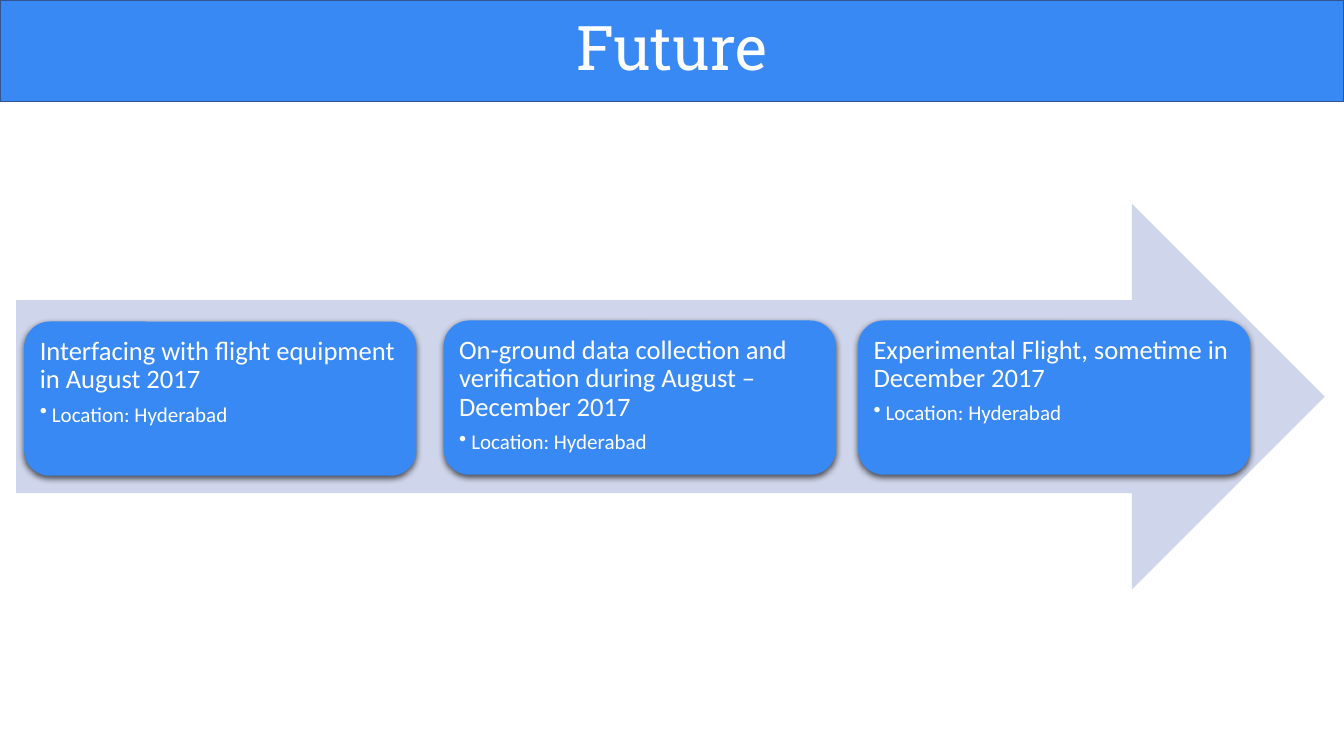
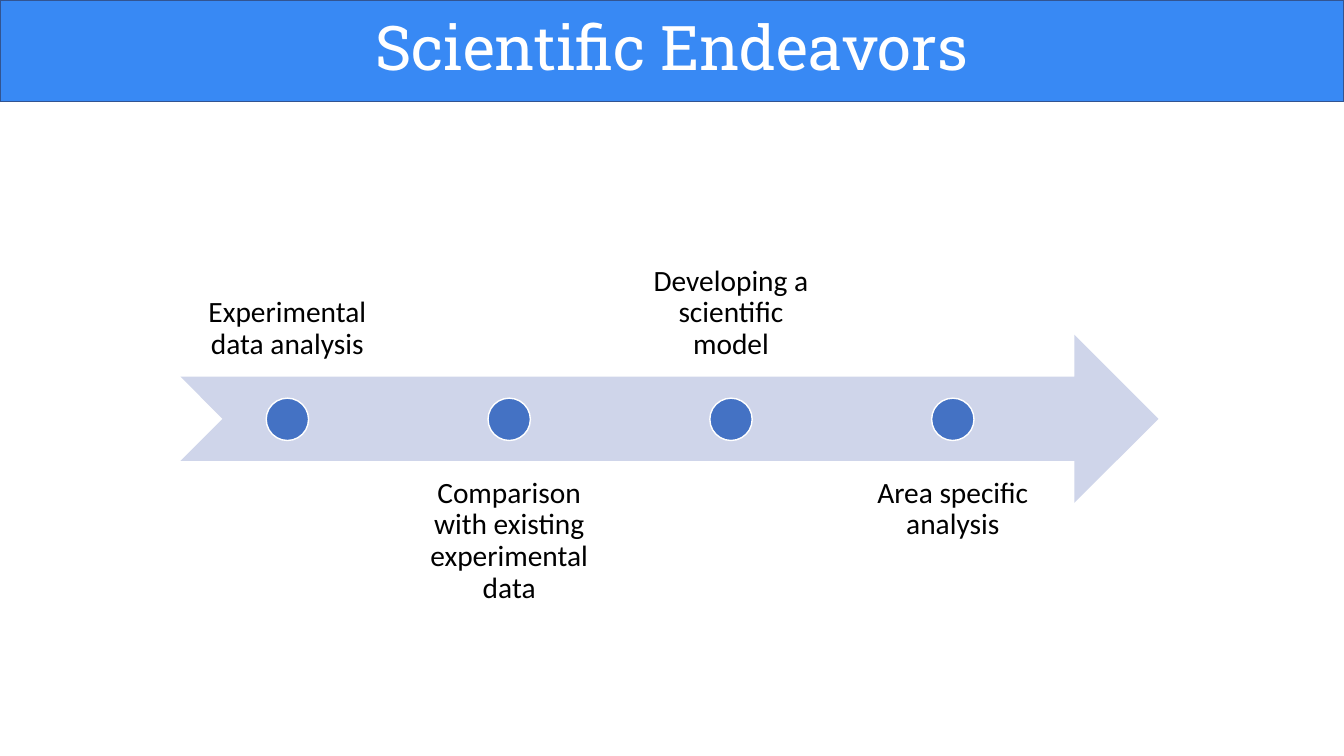
"""Build the Future and Scientific Endeavors slides."""
from lxml import etree
from pptx import Presentation
from pptx import util as u
from pptx.dml.color import RGBColor
from pptx.enum import shapes, text
from pptx.oxml import ns

COLOURS = {
    "band": "3889F4",
    "band_edge": "325491",
    "arrow": "CFD5EA",
    "dot": "4472C4",
    "light": "FFFFFF",
    "dark": "000000",
}
PRESET = shapes.MSO_SHAPE
TOP, MIDDLE, BOTTOM = text.MSO_ANCHOR.TOP, text.MSO_ANCHOR.MIDDLE, text.MSO_ANCHOR.BOTTOM
LEFT, CENTRE = text.PP_ALIGN.LEFT, text.PP_ALIGN.CENTER
WIDTH, HEIGHT = 13.33, 7.5

STAGES = [
    (0.24, 3.19, "Interfacing with flight equipment in August 2017"),
    (4.4, 3.18, "On-ground data collection and verification during August – December 2017"),
    (8.51, 3.18, "Experimental Flight, sometime in December 2017"),
]
LOCATION = "Location: Hyderabad"
ENDEAVORS = [
    "Experimental data analysis",
    "Comparison with existing experimental data",
    "Developing a scientific model",
    "Area specific analysis",
]


def colour(name):
    """Return the named palette colour."""
    return RGBColor.from_string(COLOURS[name])


def apply(target, formats):
    """Set each attribute of the target from a dict of format values."""
    for attribute, value in formats.items():
        setattr(target, attribute, value)


def place(shape, left, top, width, height):
    """Move and size a shape, in inches."""
    sides = {"left": left, "top": top, "width": width, "height": height}
    apply(shape, {side: u.Inches(length) for side, length in sides.items()})


def format_frame(frame, anchor, inset):
    """Set the wrapping, anchor and equal margins of a text frame."""
    margins = {f"margin_{side}": u.Inches(inset) for side in ("left", "top", "right", "bottom")}
    apply(frame, {"word_wrap": True, "auto_size": text.MSO_AUTO_SIZE.NONE,
                  "vertical_anchor": anchor, **margins})


def write(paragraph, words, size, ink, align=LEFT, face="Calibri"):
    """Write one formatted run in a paragraph."""
    apply(paragraph, {"alignment": align, "line_spacing": 0.9})
    run = paragraph.add_run()
    run.text = words
    apply(run.font, {"name": face, "size": u.Pt(size), "bold": False})
    run.font.color.rgb = colour(ink)


def add_bullet(paragraph):
    """Give a paragraph a bullet with a hanging indent."""
    indent = u.Inches(0.12)
    properties = paragraph._p.get_or_add_pPr()
    properties.set("marL", str(indent))
    properties.set("indent", str(-indent))
    etree.SubElement(properties, ns.qn("a:buChar")).set("char", "•")


def add_preset(slide, preset, box, fill, edge=None):
    """Add a flat preset shape with an optional outline."""
    shape = slide.shapes.add_shape(preset, *map(u.Inches, box))
    shape.shadow.inherit = False
    shape.fill.solid()
    shape.fill.fore_color.rgb = colour(fill)
    if edge:
        shape.line.color.rgb = colour(edge)
        shape.line.width = u.Pt(1)
    else:
        shape.line.fill.background()
    return shape


def add_soft_shadow(shape):
    """Add a blurred shadow just below a shape."""
    effects = shape.element.spPr.find(ns.qn("a:effectLst"))
    shadow = etree.SubElement(effects, ns.qn("a:outerShdw"))
    values = {"blurRad": u.Pt(4.5), "dist": u.Pt(1.5), "dir": 90 * 60000, "rotWithShape": 0}
    for name, value in values.items():
        shadow.set(name, str(value))
    tone = etree.SubElement(shadow, ns.qn("a:srgbClr"))
    tone.set("val", COLOURS["dark"])
    etree.SubElement(tone, ns.qn("a:alpha")).set("val", "63000")


def add_titled_slide(deck, heading):
    """Add a slide with its heading on the top band."""
    slide = deck.slides.add_slide(deck.slide_layouts[5])
    title = slide.shapes.title
    band = add_preset(slide, PRESET.RECTANGLE, (0, 0, WIDTH, 1.01), "band", "band_edge")
    title.element.addprevious(band.element)
    place(title, 0, -0.22, WIDTH, 1.45)
    format_frame(title.text_frame, MIDDLE, 0.05)
    write(title.text_frame.paragraphs[0], heading, 44, "light", CENTRE, "Roboto Slab")
    return slide


def add_stage(slide, left, top, activity):
    """Add a rounded card with an activity and its location."""
    card = add_preset(slide, PRESET.ROUNDED_RECTANGLE, (left, top, 3.89, 1.53), "band")
    add_soft_shadow(card)
    frame = card.text_frame
    format_frame(frame, TOP, 0.08)
    write(frame.paragraphs[0], activity, 19, "light")
    frame.paragraphs[0].space_after = u.Pt(6.65)
    place_line = frame.add_paragraph()
    add_bullet(place_line)
    write(place_line, LOCATION, 15, "light")


def add_milestone(slide, index, label):
    """Add a dot on the arrow with its label alternately above and below."""
    left = 1.8 + 2.2 * index
    top, anchor = ((2.07, BOTTOM), (4.58, TOP))[index % 2]
    caption = slide.shapes.add_textbox(*map(u.Inches, (left, top, 2.1, 1.67)))
    format_frame(caption.text_frame, anchor, 0.16)
    write(caption.text_frame.paragraphs[0], label, 21, "dark", CENTRE)
    add_preset(slide, PRESET.OVAL, (left + 0.84, 3.95, 0.42, 0.42), "dot", "light")


def main():
    """Build and save the deck."""
    deck = Presentation()
    apply(deck, {"slide_width": u.Inches(WIDTH), "slide_height": u.Inches(HEIGHT)})

    future = add_titled_slide(deck, "Future")
    add_preset(future, PRESET.RIGHT_ARROW, (0.16, 2.02, 12.98, 3.83), "arrow")
    for stage in STAGES:
        add_stage(future, *stage)

    science = add_titled_slide(deck, "Scientific Endeavors")
    add_preset(science, PRESET.NOTCHED_RIGHT_ARROW, (1.79, 3.32, 9.7, 1.67), "arrow")
    for index, label in enumerate(ENDEAVORS):
        add_milestone(science, index, label)

    deck.save("out.pptx")


if __name__ == "__main__":
    main()
